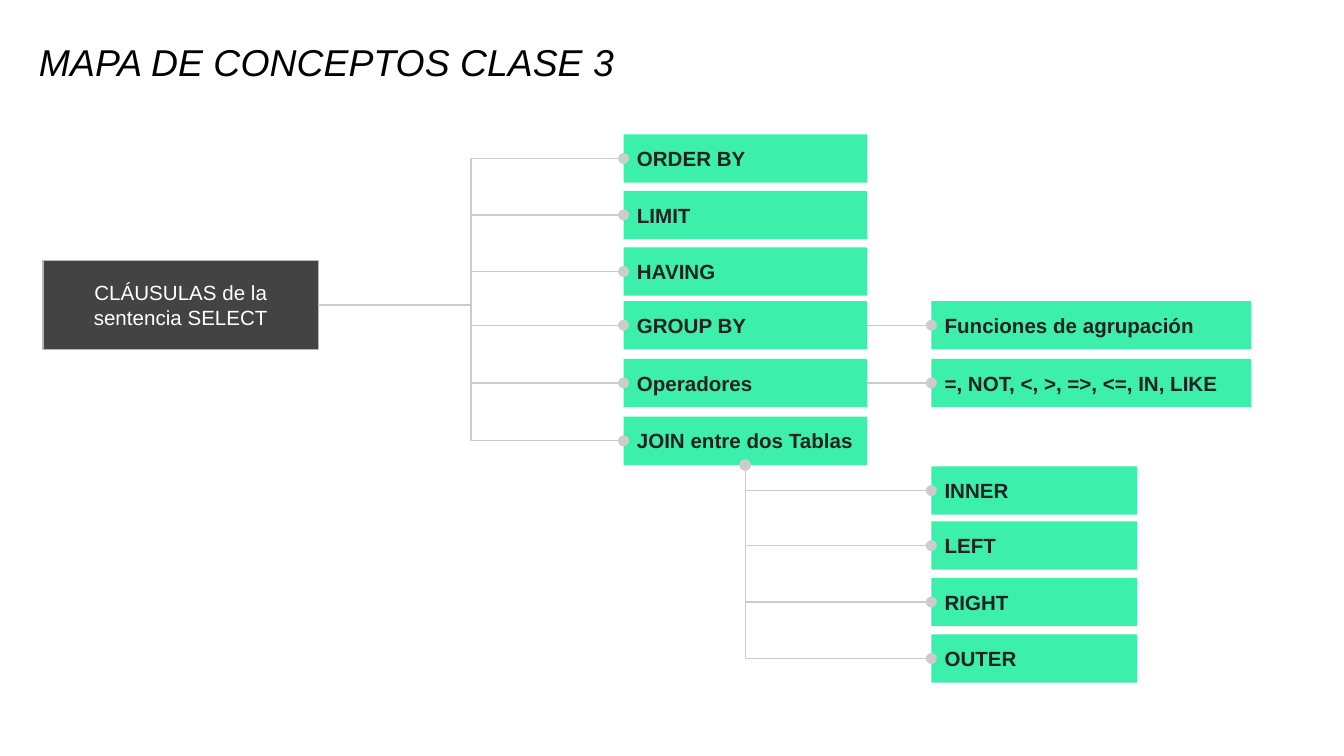
"""Build the concept map of the SELECT clauses."""
from pptx import Presentation
from pptx.dml.color import RGBColor
from pptx.enum.shapes import MSO_CONNECTOR as Link, MSO_SHAPE as Shape
from pptx.enum.text import MSO_ANCHOR as Anchor, MSO_AUTO_SIZE as Fit, PP_ALIGN as Align
from pptx.oxml.ns import qn
from pptx.util import Inches, Pt
from lxml.etree import SubElement

BLACK = RGBColor(0x00, 0x00, 0x00)
WHITE = RGBColor(0xFF, 0xFF, 0xFF)
INK = RGBColor(0x22, 0x22, 0x22)
GREEN = RGBColor(0x3C, 0xEF, 0xAB)
DARK = RGBColor(0x43, 0x43, 0x43)
EDGE = RGBColor(0xB7, 0xB7, 0xB7)
GREY = RGBColor(0xCC, 0xCC, 0xCC)


def write(shape, text, size=11, color=INK, bold=False, italic=False,
          align=Align.LEFT, anchor=Anchor.MIDDLE, pad=0.1):
    frame = shape.text_frame
    frame.word_wrap = True
    frame.auto_size = Fit.NONE
    frame.vertical_anchor = anchor
    frame.margin_left = frame.margin_right = Inches(0.1)
    frame.margin_top = frame.margin_bottom = Inches(pad)
    para = frame.paragraphs[0]
    para.alignment = align
    run = para.add_run()
    run.text = text
    font = run.font
    font.name, font.size, font.color.rgb = "Arial", Pt(size), color
    font.bold, font.italic = bold, italic


def join(kind, start, end, side=3, ends=("tailEnd",)):
    x = start.left + (start.width if side == 3 else start.width // 2)
    y = start.top + (start.height // 2 if side == 3 else start.height)
    line = slide.shapes.add_connector(kind, x, y, end.left, end.top + end.height // 2)
    if side == 3:
        line.begin_connect(start, 3)
        line.end_connect(end, 1)
    line.line.color.rgb = GREY
    line.line.width = Pt(0.75)
    props = line.element.spPr
    for tag in ends:
        SubElement(props.find(qn("a:ln")), qn("a:" + tag), type="oval")
    SubElement(props, qn("a:effectLst"))
    return line


deck = Presentation()
deck.slide_width = Inches(10)
deck.slide_height = deck.slide_width * 9 // 16
slide = deck.slides.add_slide(deck.slide_layouts[5])

title = slide.shapes.title
title.left, title.top = Inches(0.19), Inches(0.22)
title.width, title.height = Inches(8.26), Inches(0.46)
write(title, "MAPA DE CONCEPTOS CLASE 3", size=20, color=BLACK, italic=True,
      anchor=Anchor.BOTTOM, pad=0.05)
title.text_frame.paragraphs[0].line_spacing = 0.9

root = slide.shapes.add_shape(Shape.RECTANGLE, Inches(0.32), Inches(1.94),
                              Inches(2.05), Inches(0.66))
root.shadow.inherit = False
root.fill.solid()
root.fill.fore_color.rgb = DARK
root.line.color.rgb = EDGE
root.line.width = Pt(0.75)
write(root, "CLÁUSULAS de la sentencia SELECT", color=WHITE, align=Align.CENTER)

columns = [
    (4.64, 1.81, [("ORDER BY", 1), ("LIMIT", 1.42), ("HAVING", 1.84),
                  ("GROUP BY", 2.24), ("Operadores", 2.67),
                  ("JOIN entre dos Tablas", 3.1)]),
    (6.93, 2.38, [("Funciones de agrupación", 2.24),
                  ("=, NOT, <, >, =>, <=, IN, LIKE", 2.67)]),
    (6.93, 1.53, [("INNER", 3.47), ("LEFT", 3.88), ("RIGHT", 4.3), ("OUTER", 4.72)]),
]
groups = []
for left, width, items in columns:
    group = []
    for text, top in items:
        box = slide.shapes.add_shape(Shape.RECTANGLE, Inches(left), Inches(top),
                                     Inches(width), Inches(0.36))
        box.shadow.inherit = False
        box.fill.solid()
        box.fill.fore_color.rgb = GREEN
        box.line.fill.background()
        write(box, text, bold=True)
        group.append(box)
    groups.append(group)

clauses, details, joins = groups
for clause in clauses:
    join(Link.ELBOW, root, clause)
for clause, detail in zip(clauses[3:5], details):
    join(Link.STRAIGHT, clause, detail)
for kind in joins:
    bend = join(Link.ELBOW, clauses[5], kind, side=2, ends=("headEnd", "tailEnd"))
    guides = bend.element.spPr.find(qn("a:prstGeom")).find(qn("a:avLst"))
    SubElement(guides, qn("a:gd"), name="adj1", fmla="val 300")

deck.save("out.pptx")
